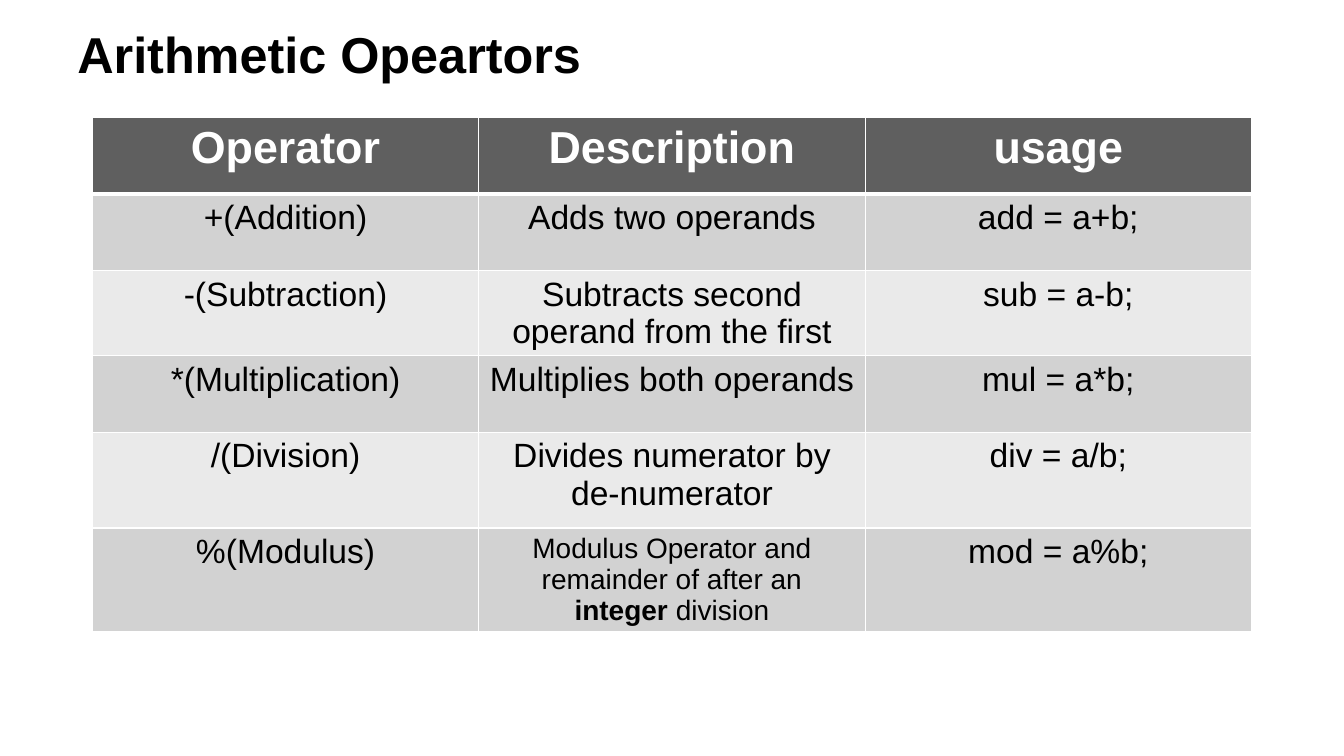
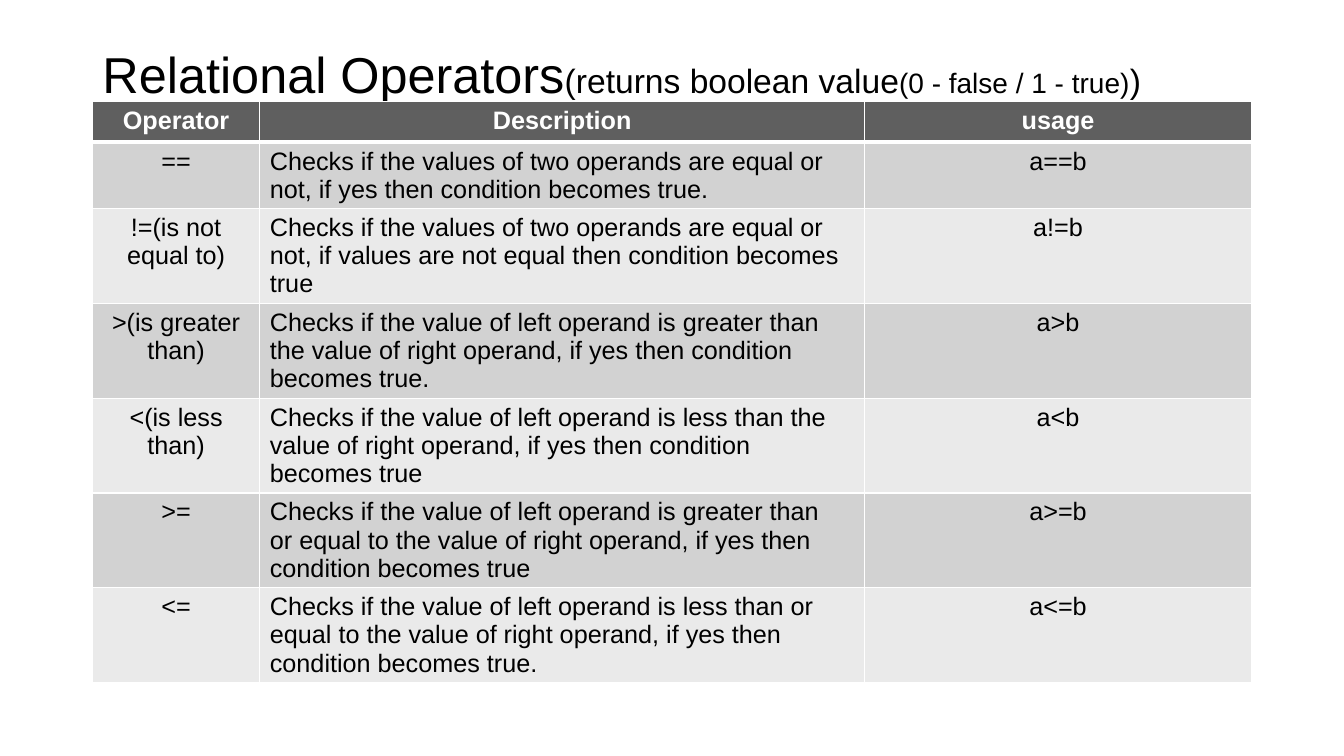
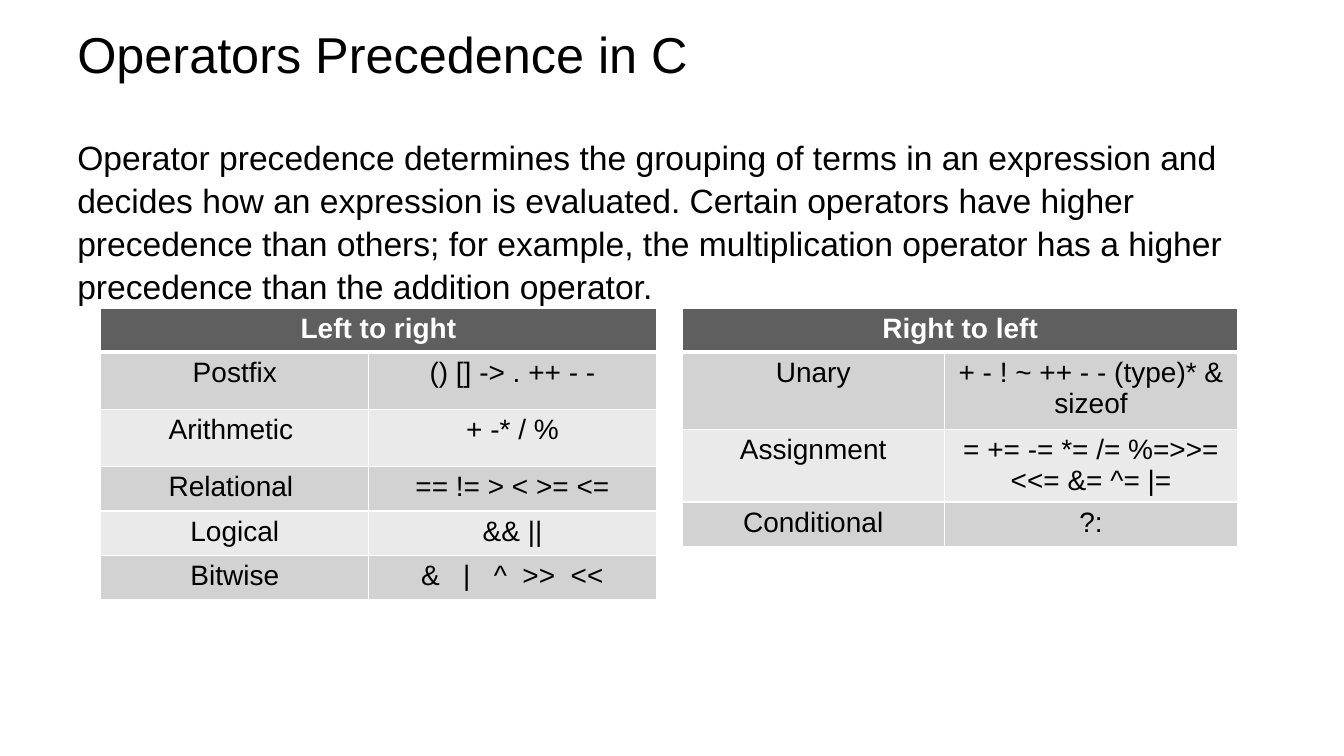
import lxml.etree
import pptx
import pptx.dml.color
import pptx.enum.text
import pptx.oxml.ns
import pptx.util

Pt = pptx.util.Pt
LEFT = pptx.enum.text.PP_ALIGN.LEFT
CENTER = pptx.enum.text.PP_ALIGN.CENTER

# Shared look
FONT = "Arial"
BLACK, WHITE = "000000", "FFFFFF"
HEADER_FILL = "5F5F5F"
BAND_FILLS = ["D2D2D2", "EAEAEA"]
TITLE_SIZE = 36
TITLE_BOX = (48, 15, 864, 46)


def rgb(hex_color):
    return pptx.dml.color.RGBColor.from_string(hex_color)


def write_paragraph(paragraph, runs, color, alignment):
    """Fill a paragraph with runs given as (text, size, bold)."""
    paragraph.alignment = alignment
    for text, size, bold in runs:
        run = paragraph.add_run()
        run.text = text
        run.font.name = FONT
        run.font.size = Pt(size)
        run.font.bold = bold
        run.font.color.rgb = rgb(color)


# Content: a cell is a string, or a list of paragraphs, each a string or a list of runs
arithmetic_table = {
    "left": 66, "top": 84, "columns": [276, 276, 276],
    "heights": [54.7, 54.7, 54.7, 54.7, 68.4, 54.7],
    "header_size": 32, "size": 24, "alignments": [CENTER, CENTER, CENTER],
    "rows": [
        ["Operator", "Description", "usage"],
        ["+(Addition)", "Adds two operands", "add = a+b;"],
        ["-(Subtraction)", "Subtracts second operand from the first", "sub = a-b;"],
        ["*(Multiplication)", "Multiplies both operands", "mul = a*b;"],
        ["/(Division)", "Divides numerator by de-numerator", "div = a/b;"],
        ["%(Modulus)",
         [[("Modulus Operator and remainder of after an", 20, False)],
          [("integer", 20, True), (" division", 20, False)]],
         "mod = a%b;"],
    ],
}

relational_table = {
    "left": 66, "top": 72.7, "columns": [119.6, 432, 276.4],
    "heights": [28.8] + [30.2] * 6,
    "header_size": 18, "size": 18, "alignments": [CENTER, LEFT, CENTER],
    "rows": [
        ["Operator", "Description", "usage"],
        ["==",
         ["Checks if the values of two operands are equal or",
          "not, if yes then condition becomes true."],
         "a==b"],
        ["!=(is not equal to)",
         ["Checks if the values of two operands are equal or",
          "not, if values are not equal then condition becomes true"],
         "a!=b"],
        [">(is greater than)",
         ["Checks if the value of left operand is greater than",
          "the value of right operand, if yes then condition",
          "becomes true."],
         "a>b"],
        ["<(is less than)",
         ["Checks if the value of left operand is less than the",
          "value of right operand, if yes then condition",
          "becomes true"],
         "a<b"],
        [">=",
         ["Checks if the value of left operand is greater than",
          "or equal to the value of right operand, if yes then",
          "condition becomes true"],
         "a>=b"],
        ["<=",
         ["Checks if the value of left operand is less than or",
          "equal to the value of right operand, if yes then",
          "condition becomes true."],
         "a<=b"],
    ],
}

left_to_right_table = {
    "left": 72, "top": 220.3, "columns": [191.5, 205.2],
    "heights": [31, 41, 41, 31.7, 31.7, 31.7],
    "header_size": 20, "size": 20, "alignments": [CENTER, CENTER],
    "rows": [
        ["Left to right"],
        ["Postfix", "() [] -> . ++ - -"],
        ["Arithmetic ", "+ -* / %"],
        ["Relational ", "== != > < >= <="],
        ["Logical", "&& ||"],
        ["Bitwise", "&   |   ^  >>  <<"],
    ],
}

right_to_left_table = {
    "left": 487.4, "top": 220.3, "columns": [187, 210],
    "heights": [31, 55.4, 41, 31.7],
    "header_size": 20, "size": 20, "alignments": [CENTER, CENTER],
    "rows": [
        ["Right to left"],
        ["Unary", "+ - ! ~ ++ - - (type)* & sizeof"],
        ["Assignment", "= += -= *= /= %=>>= <<= &= ^= |="],
        ["Conditional", "?:"],
    ],
}

precedence_text = (
    "Operator precedence determines the grouping of terms in an expression and "
    "decides how an expression is evaluated. Certain operators have higher "
    "precedence than others; for example, the multiplication operator has a "
    "higher precedence than the addition operator."
)

# Each slide: title runs, title box, body text, tables
slide_contents = [
    ([("Arithmetic Opeartors", TITLE_SIZE, True)], TITLE_BOX, None, [arithmetic_table]),
    ([("Relational Operators", TITLE_SIZE, False),
      ("(returns boolean value", 24, False),
      ("(0 - false / 1 - true)", 20, False),
      (")", 24, False)], (66, 0, 828, 104.4), None, [relational_table]),
    ([("Operators Precedence in C", TITLE_SIZE, False)], TITLE_BOX, precedence_text,
     [left_to_right_table, right_to_left_table]),
]

presentation = pptx.Presentation()
presentation.slide_width = Pt(960)
presentation.slide_height = Pt(540)

for title_runs, title_box, body_text, tables in slide_contents:
    layout = presentation.slide_layouts[1 if body_text else 5]
    slide = presentation.slides.add_slide(layout)

    # Title and body placeholders
    placeholders = [(slide.shapes.title, title_box, title_runs)]
    if body_text:
        body_runs = [(body_text, 24, False)]
        placeholders.append((slide.placeholders[1], (48, 92, 864, 139), body_runs))
    for shape, box, runs in placeholders:
        shape.left, shape.top, shape.width, shape.height = map(Pt, box)
        frame = shape.text_frame
        frame.word_wrap = True
        frame.auto_size = pptx.enum.text.MSO_AUTO_SIZE.NONE
        write_paragraph(frame.paragraphs[0], runs, BLACK, LEFT)
    slide.shapes.title.text_frame.vertical_anchor = pptx.enum.text.MSO_ANCHOR.MIDDLE
    if body_text:
        paragraph = slide.placeholders[1].text_frame.paragraphs[0]
        paragraph.line_spacing = 1.07
        properties = paragraph._p.get_or_add_pPr()
        properties.set("marL", "0")
        properties.set("indent", "0")
        lxml.etree.SubElement(properties, pptx.oxml.ns.qn("a:buNone"))

    # Tables
    for content in tables:
        rows, columns, heights = content["rows"], content["columns"], content["heights"]
        table = slide.shapes.add_table(
            len(rows), len(columns), Pt(content["left"]), Pt(content["top"]),
            Pt(sum(columns)), Pt(sum(heights))).table
        for column, width in zip(table.columns, columns):
            column.width = Pt(width)
        for row, height in zip(table.rows, heights):
            row.height = Pt(height)
        if len(rows[0]) == 1:
            table.cell(0, 0).merge(table.cell(0, len(columns) - 1))

        for row_index, row_texts in enumerate(rows):
            is_header = row_index == 0
            fill = HEADER_FILL if is_header else BAND_FILLS[(row_index - 1) % 2]
            color = WHITE if is_header else BLACK
            size = content["header_size"] if is_header else content["size"]

            # Borders and fill, with a thick rule below the header
            for column_index in range(len(columns)):
                cell = table.cell(row_index, column_index)
                cell_properties = cell._tc.get_or_add_tcPr()
                border_widths = {"lnL": 1, "lnR": 1, "lnT": 3 if row_index == 1 else 1,
                                 "lnB": 3 if is_header else 1}
                for side, width in border_widths.items():
                    line = lxml.etree.SubElement(
                        cell_properties, pptx.oxml.ns.qn("a:" + side), w=str(Pt(width)))
                    solid = lxml.etree.SubElement(line, pptx.oxml.ns.qn("a:solidFill"))
                    lxml.etree.SubElement(solid, pptx.oxml.ns.qn("a:srgbClr"), val=WHITE)
                cell.fill.solid()
                cell.fill.fore_color.rgb = rgb(fill)

            # Text
            for column_index, cell_text in enumerate(row_texts):
                frame = table.cell(row_index, column_index).text_frame
                alignment = CENTER if is_header else content["alignments"][column_index]
                paragraphs = [cell_text] if isinstance(cell_text, str) else cell_text
                for index, runs in enumerate(paragraphs):
                    paragraph = frame.add_paragraph() if index else frame.paragraphs[0]
                    if isinstance(runs, str):
                        runs = [(runs, size, is_header)]
                    write_paragraph(paragraph, runs, color, alignment)

presentation.save("out.pptx")
